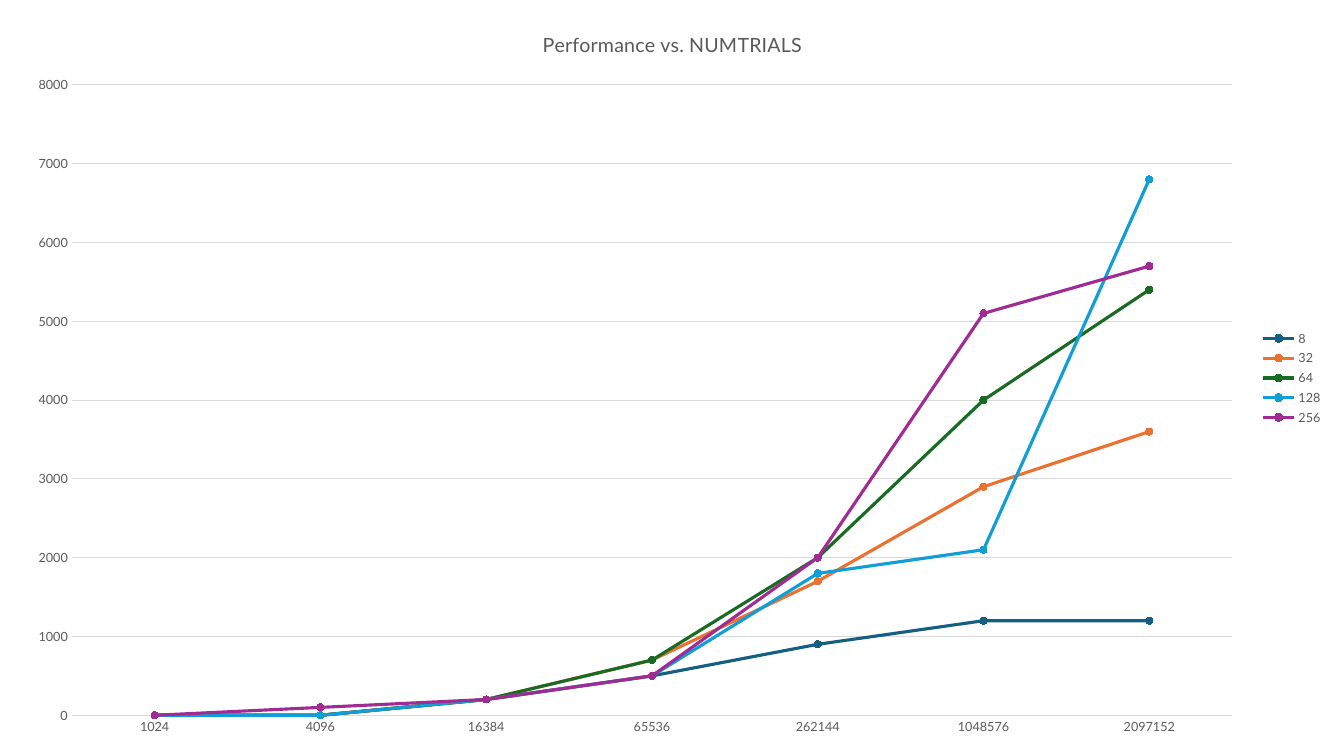
from pptx import Presentation
from pptx.chart.data import CategoryChartData
from pptx.dml.color import RGBColor
from pptx.enum.chart import XL_CHART_TYPE, XL_LEGEND_POSITION, XL_MARKER_STYLE, XL_TICK_MARK
from pptx.util import Inches, Pt

LINE_MARKERS = XL_CHART_TYPE.LINE_MARKERS
LEGEND_RIGHT = XL_LEGEND_POSITION.RIGHT
CIRCLE = XL_MARKER_STYLE.CIRCLE
NO_TICK = XL_TICK_MARK.NONE
FONT, GREY, RULE = "Lato", "595959", "D9D9D9"

TITLE = "Performance vs. NUMTRIALS"
TRIALS = ["1024", "4096", "16384", "65536", "262144", "1048576", "2097152"]
SERIES = [
    ("8", "156082", [0, 0, 200, 500, 900, 1200, 1200]),
    ("32", "E97132", [0, 0, 200, 700, 1700, 2900, 3600]),
    ("64", "196B24", [0, 0, 200, 700, 2000, 4000, 5400]),
    ("128", "0F9ED5", [0, 0, 200, 500, 1800, 2100, 6800]),
    ("256", "A02B93", [0, 100, 200, 500, 2000, 5100, 5700]),
]


def rgb(color):
    """Turn a hex string into a colour."""
    return RGBColor.from_string(color)


def style_font(font, size):
    """Set the chart's typeface, size and grey."""
    font.name, font.size, font.bold = FONT, Pt(size), False
    font.color.rgb = rgb(GREY)


def style_line(line, color, width):
    """Give a line its colour and width."""
    line.color.rgb = rgb(color)
    line.width = Pt(width)


def style_title(chart):
    """Write the chart title above the plot."""
    chart.has_title = True
    chart.chart_title.include_in_layout = False
    r = chart.chart_title.text_frame.paragraphs[0].add_run()
    r.text = TITLE
    style_font(r.font, 14)


def style_axes(chart):
    """Format both axes and the horizontal gridlines."""
    trials, performance = chart.category_axis, chart.value_axis
    for axis in (trials, performance):
        axis.major_tick_mark = axis.minor_tick_mark = NO_TICK
        style_font(axis.tick_labels.font, 9)
    style_line(trials.format.line, RULE, 0.75)
    performance.format.line.fill.background()
    performance.minimum_scale, performance.maximum_scale = 0, 8000
    performance.major_unit = 1000
    performance.has_major_gridlines = True
    style_line(performance.major_gridlines.format.line, RULE, 0.75)


def style_series(chart):
    """Colour each line and its markers."""
    for series, (_, color, _) in zip(chart.plots[0].series, SERIES):
        series.smooth = False
        style_line(series.format.line, color, 2.25)
        marker = series.marker
        marker.style, marker.size = CIRCLE, 5
        marker.format.fill.solid()
        marker.format.fill.fore_color.rgb = rgb(color)
        style_line(marker.format.line, color, 0.75)


def add_performance_chart(s, left, top, width, height):
    """Place the line chart in the given box."""
    data = CategoryChartData()
    data.categories = TRIALS
    for name, _, values in SERIES:
        data.add_series(name, values)
    box = (Inches(v) for v in (left, top, width, height))
    chart = s.shapes.add_chart(LINE_MARKERS, *box, data).chart
    style_font(chart.font, 10)
    chart.plots[0].vary_by_categories = False
    style_title(chart)
    style_axes(chart)
    style_series(chart)
    chart.has_legend = True
    chart.legend.position = LEGEND_RIGHT
    chart.legend.include_in_layout = False
    style_font(chart.legend.font, 9)


def main():
    """Build and save the slide."""
    prs = Presentation()
    prs.slide_width, prs.slide_height = Inches(13.33), Inches(7.5)
    s = prs.slides.add_slide(prs.slide_layouts[6])
    add_performance_chart(s, 0.12, 0.06, 13.1, 7.38)
    prs.save("out.pptx")


if __name__ == "__main__":
    main()
